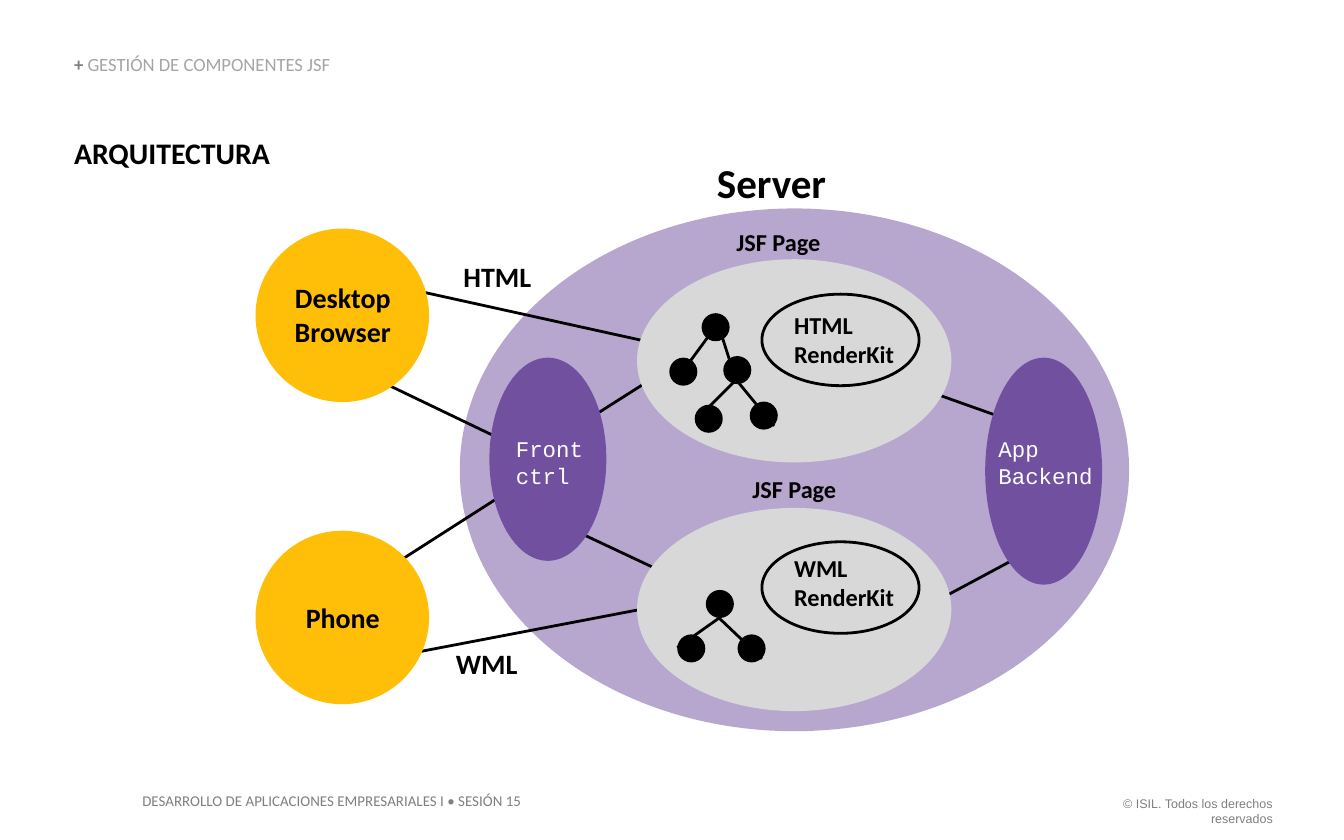
from dataclasses import dataclass

import pptx
import pptx.dml.color
import pptx.enum.shapes
import pptx.enum.text
import pptx.oxml.ns
import pptx.util
from lxml import etree
from pptx.util import Cm

ALIGN = pptx.enum.text.PP_ALIGN
ANCHOR = pptx.enum.text.MSO_ANCHOR


@dataclass(frozen=True)
class Theme:
    black: str = "000000"
    white: str = "FFFFFF"
    muted: str = "7F7F7F"
    pale: str = "A5A5A5"
    purple: str = "7150A0"
    amber: str = "FFBF08"
    page: str = "D8D8D8"
    sans: str = "Calibri"
    mono: str = "Courier New"
    copyright_font: str = "Arial"
    copyright_size: float = 6.7
    footer_size: float = 8
    header_size: float = 10
    code_size: float = 12
    label_size: float = 13
    client_size: float = 15
    heading_size: float = 16
    server_size: float = 22
    line_width: float = 1.5


THEME = Theme()


def rgb(color):
    return pptx.dml.color.RGBColor.from_string(color)


def style_run(run, size, color, bold, font):
    run.font.size = pptx.util.Pt(size)
    run.font.color.rgb = rgb(color)
    run.font.bold = bold
    run.font.name = font


def set_frame(text_frame, inset_x=0, inset_y=0, anchor=ANCHOR.TOP):
    text_frame.word_wrap = True
    text_frame.auto_size = pptx.enum.text.MSO_AUTO_SIZE.SHAPE_TO_FIT_TEXT
    text_frame.vertical_anchor = anchor
    text_frame.margin_left = text_frame.margin_right = Cm(inset_x)
    text_frame.margin_top = text_frame.margin_bottom = Cm(inset_y)


def add_text(shapes, text, box, size, color=THEME.black, bold=True,
             font=THEME.sans, align=ALIGN.LEFT, inset=(0, 0)):
    shape = shapes.add_textbox(*map(Cm, box))
    set_frame(shape.text_frame, *inset)
    shape.text_frame.text = text
    for paragraph in shape.text_frame.paragraphs:
        paragraph.alignment = align
        for run in paragraph.runs:
            style_run(run, size, color, bold, font)


def add_ellipse(shapes, box, fill, outline=None, alpha=None):
    shape = shapes.add_shape(pptx.enum.shapes.MSO_SHAPE.OVAL, *map(Cm, box))
    shape.shadow.inherit = False
    shape.fill.solid()
    shape.fill.fore_color.rgb = rgb(fill)
    if alpha is not None:
        color = shape._element.spPr.find(".//" + pptx.oxml.ns.qn("a:srgbClr"))
        etree.SubElement(color, pptx.oxml.ns.qn("a:alpha"), val=str(alpha * 1000))
    if outline:
        shape.line.color.rgb = rgb(outline)
        shape.line.width = pptx.util.Pt(THEME.line_width)
    else:
        shape.line.fill.background()


def add_line(shapes, ends):
    line = shapes.add_connector(pptx.enum.shapes.MSO_CONNECTOR.STRAIGHT, *map(Cm, ends))
    line.line.color.rgb = rgb(THEME.black)
    line.line.width = pptx.util.Pt(THEME.line_width)
    etree.SubElement(line._element.spPr, pptx.oxml.ns.qn("a:effectLst"))


def add_header(slide):
    title = slide.shapes.title
    title.left, title.top, title.width, title.height = map(Cm, (1.4, 1.04, 15.98, 0.38))
    set_frame(title.text_frame, anchor=ANCHOR.BOTTOM)
    paragraph = title.text_frame.paragraphs[0]
    paragraph.alignment = ALIGN.LEFT
    paragraph.line_spacing = 0.9
    for text, color, bold in (("+ ", THEME.muted, True),
                              ("GESTIÓN DE COMPONENTES JSF", THEME.pale, False)):
        run = paragraph.add_run()
        run.text = text
        style_run(run, THEME.header_size, color, bold, THEME.sans)


def add_footer(shapes):
    inset = (0.25, 0.13)
    add_text(shapes, "© ISIL. Todos los derechos reservados", (20.12, 14.91, 4.19, 0.53),
             THEME.copyright_size, THEME.muted, False, THEME.copyright_font,
             ALIGN.RIGHT, inset)
    add_text(shapes, "DESARROLLO DE APLICACIONES EMPRESARIALES I • SESIÓN 15",
             (2.44, 14.83, 7.7, 0.61), THEME.footer_size, THEME.muted, False, inset=inset)


def add_client(shapes, name, top, text_top, text_height):
    add_ellipse(shapes, (4.83, top, 3.28, 3.28), THEME.amber)
    add_text(shapes, name, (4.27, text_top, 4.42, text_height),
             THEME.client_size, align=ALIGN.CENTER)


def add_server_part(shapes, name, left, height, text_left):
    add_ellipse(shapes, (left, 6.76, 2.21, height), THEME.purple)
    add_text(shapes, name, (text_left, 8.23, 4.42, 1.02),
             THEME.code_size, THEME.white, False, THEME.mono)


def add_page(shapes, render_kit, top, kit_top, text_top):
    add_ellipse(shapes, (12.04, top, 5.94, 3.84), THEME.page)
    add_ellipse(shapes, (14.4, kit_top, 2.97, 1.73), THEME.page, THEME.black)
    add_text(shapes, render_kit, (15.01, text_top, 4.42, 1.12), THEME.label_size)


def add_tree(shapes, nodes, branches):
    group = shapes.add_group_shape()
    for branch in branches:
        add_line(group.shapes, branch)
    for left, top in nodes:
        add_ellipse(group.shapes, (left, top, 0.53, 0.53), THEME.black)


def main():
    presentation = pptx.Presentation()
    presentation.slide_width = Cm(25.4)
    presentation.slide_height = presentation.slide_width * 5 // 8
    slide = presentation.slides.add_slide(presentation.slide_layouts[5])
    shapes = slide.shapes

    # Header, footer and heading
    add_footer(shapes)
    add_header(slide)
    add_text(shapes, "ARQUITECTURA", (1.4, 2.54, 22.68, 0.69), THEME.heading_size)

    # Server and labels
    add_ellipse(shapes, (8.69, 3.94, 12.65, 9.88), THEME.purple, alpha=50)
    for text, left, top, height, size in (
            ("HTML", 7.19, 4.9, 0.64, THEME.client_size),
            ("WML", 6.99, 12.22, 0.64, THEME.client_size),
            ("Server", 12.37, 2.97, 0.94, THEME.server_size),
            ("JSF Page", 12.5, 4.29, 0.56, THEME.label_size),
            ("JSF Page", 12.8, 8.97, 0.56, THEME.label_size)):
        add_text(shapes, text, (left, top, 4.42, height), size, align=ALIGN.CENTER)

    # Links, drawn beneath the ellipses they reach
    for ends in (
            (7.72, 5.46, 12.12, 6.43),     # desktop browser to HTML page
            (7.26, 7.24, 9.53, 8.33),      # desktop browser to front controller
            (7.24, 10.8, 9.35, 9.45),      # phone to front controller
            (7.8, 12.34, 12.04, 11.53),    # phone to WML page
            (10.87, 10.03, 12.55, 10.82),  # front controller to WML page
            (10.95, 8.03, 12.27, 7.19),    # front controller to HTML page
            (17.25, 7.29, 19.25, 8),       # HTML page to backend
            (17.32, 11.56, 19.41, 10.44)):  # WML page to backend
        add_line(shapes, ends)

    # Clients and server parts
    add_client(shapes, "Desktop\nBrowser", 4.32, 5.31, 1.27)
    add_client(shapes, "Phone", 10.03, 11.35, 0.64)
    add_server_part(shapes, "App\nBackend", 18.62, 4.29, 18.87)
    add_server_part(shapes, "Front\nctrl", 9.25, 3.84, 9.75)

    # Pages with their component trees
    add_page(shapes, "WML\nRenderKit", 9.6, 10.24, 10.46)
    add_tree(shapes, ((13.34, 11.15), (12.8, 11.99), (13.94, 11.99)),
             ((13.59, 11.68, 12.8, 12.24), (13.59, 11.68, 14.4, 12.45)))
    add_page(shapes, "HTML\nRenderKit", 4.9, 5.56, 5.87)
    add_tree(shapes,
             ((13.26, 5.92), (12.65, 6.76), (13.67, 6.73), (14.17, 7.59), (13.13, 7.65)),
             ((13.54, 6.15, 12.85, 7.09), (13.61, 6.25, 13.87, 7.06),
              (14.05, 7.04, 13.34, 7.75), (13.94, 7.21, 14.63, 8.05)))

    presentation.save("out.pptx")


if __name__ == "__main__":
    main()
